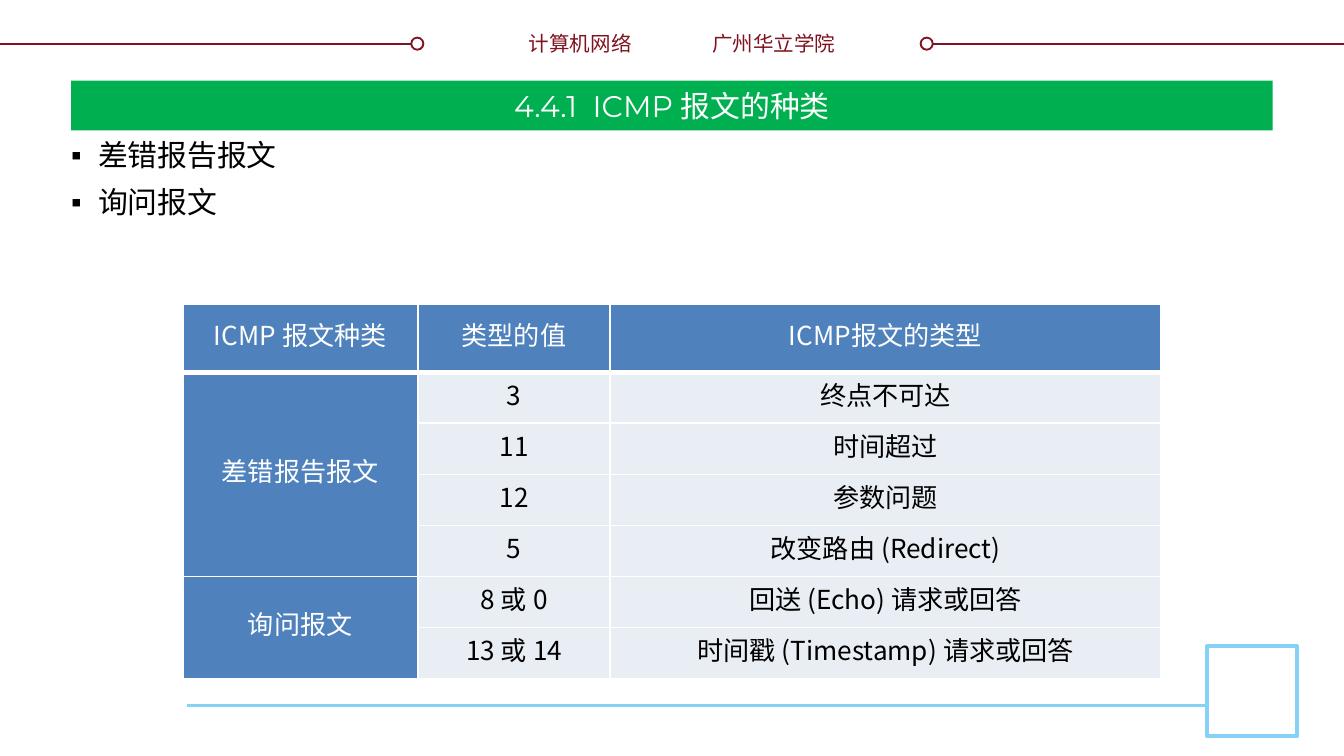
import pptx
import pptx.util
import pptx.dml.color
import pptx.enum.shapes
import pptx.enum.text
import lxml.etree

Inches = pptx.util.Inches
Pt = pptx.util.Pt
RGB = pptx.dml.color.RGBColor.from_string
ALIGN = pptx.enum.text.PP_ALIGN
MIDDLE = pptx.enum.text.MSO_ANCHOR.MIDDLE
SHAPE = pptx.enum.shapes.MSO_SHAPE
A = "{http://schemas.openxmlformats.org/drawingml/2006/main}"

THEME = {
    "maroon": "7F131F", "sky": "85D1F7", "green": "00B050", "blue": "4F81BD",
    "pale": "E9EDF4", "white": "FFFFFF", "black": "000000",
    "latin": "Montserrat", "cjk": "Noto Sans CJK SC",
    "header_size": 11, "table_size": 14, "main_size": 16,
}


def style(p, size, color, font, align):
    p.alignment = align
    p.font.size = Pt(THEME[size])
    p.font.color.rgb = RGB(THEME[color])
    p.font.name = THEME[font]
    ea = lxml.etree.SubElement(p._p.pPr.find(A + "defRPr"), A + "ea")
    ea.set("typeface", THEME["cjk"])


def set_borders(cell, bottom):
    tc_pr = cell._tc.get_or_add_tcPr()
    for side, width in (("L", 1), ("R", 1), ("T", 1), ("B", bottom)):
        ln = lxml.etree.SubElement(tc_pr, A + "ln" + side, w=str(Pt(width)))
        fill = lxml.etree.SubElement(ln, A + "solidFill")
        lxml.etree.SubElement(fill, A + "srgbClr", val=THEME["white"])


# Widescreen slide, 16:9
prs = pptx.Presentation()
prs.slide_width = Inches(10)
prs.slide_height = Inches(10 * 9 / 16)
s = prs.slides.add_slide(prs.slide_layouts[1])

# Rules at top and bottom
for x1, x2, y, color, width in ((0, 3.15, 0.33, "maroon", 1),
                                (6.85, 10, 0.33, "maroon", 1),
                                (1.39, 8.98, 5.25, "sky", 1.5)):
    line = s.shapes.add_connector(pptx.enum.shapes.MSO_CONNECTOR.STRAIGHT,
                                  Inches(x1), Inches(y), Inches(x2), Inches(y))
    line.line.color.rgb = RGB(THEME[color])
    line.line.width = Pt(width)
    lxml.etree.SubElement(line._element.spPr, A + "effectLst")

# Ring at the end of each top rule, and the corner square
for kind, x, y, size, color, width in ((SHAPE.OVAL, 3.06, 0.28, 0.09, "maroon", 1),
                                       (SHAPE.OVAL, 6.85, 0.28, 0.09, "maroon", 1),
                                       (SHAPE.RECTANGLE, 8.98, 4.81, 0.67, "sky", 2)):
    sp = s.shapes.add_shape(kind, Inches(x), Inches(y), Inches(size), Inches(size))
    sp.shadow.inherit = False
    sp.fill.solid()
    sp.fill.fore_color.rgb = RGB(THEME["white"])
    sp.line.color.rgb = RGB(THEME[color])
    sp.line.width = Pt(width)

# Course and school names
for text, x, width, align in (("计算机网络", 3.83, 0.97, ALIGN.RIGHT),
                              ("广州华立学院", 5.2, 1.16, ALIGN.LEFT)):
    sp = s.shapes.add_textbox(Inches(x), Inches(0.18), Inches(width), Inches(0.29))
    tf = sp.text_frame
    tf.word_wrap = True
    tf.text = text
    style(tf.paragraphs[0], "header_size", "maroon", "cjk", align)

# Title bar
title = s.shapes.title
title.left, title.top = Inches(0.53), Inches(0.6)
title.width, title.height = Inches(8.94), Inches(0.37)
title.fill.solid()
title.fill.fore_color.rgb = RGB(THEME["green"])
tf = title.text_frame
tf.text = "4.4.1  ICMP 报文的种类"
tf.vertical_anchor = MIDDLE
tf.auto_size = pptx.enum.text.MSO_AUTO_SIZE.NONE
style(tf.paragraphs[0], "main_size", "white", "latin", ALIGN.CENTER)

# Bulleted list
body = s.placeholders[1]
body.left, body.top = Inches(0.53), Inches(0.98)
body.width, body.height = Inches(8.94), Inches(4.05)
tf = body.text_frame
tf.auto_size = pptx.enum.text.MSO_AUTO_SIZE.NONE
tf.margin_left = tf.margin_right = 0
tf.margin_top = tf.margin_bottom = Inches(0.04)
tf.text = "差错报告报文\n询问报文"
for p in tf.paragraphs:
    p.space_before, p.space_after = Pt(0), Pt(6)
    p_pr = p._p.get_or_add_pPr()
    p_pr.set("marL", str(Inches(0.2)))
    p_pr.set("indent", str(Inches(-0.2)))
    lxml.etree.SubElement(p_pr, A + "buChar", char="▪")
    style(p, "main_size", "black", "latin", ALIGN.JUSTIFY)

# Table of message types
rows = [
    ("ICMP 报文种类", "类型的值", "ICMP报文的类型"),
    ("差错报告报文", "3", "终点不可达"),
    ("", "11", "时间超过"),
    ("", "12", "参数问题"),
    ("", "5", "改变路由 (Redirect)"),
    ("询问报文", "8 或 0", "回送 (Echo) 请求或回答"),
    ("", "13 或 14", "时间戳 (Timestamp) 请求或回答"),
]
table = s.shapes.add_table(len(rows), 3, Inches(1.36), Inches(2.26),
                           Inches(7.28), Inches(2.79)).table
for column, width in zip(table.columns, (1.75, 1.43, 4.1)):
    column.width = Inches(width)
for i, row in enumerate(rows):
    table.rows[i].height = Inches(0.38 if i else 0.51)
    for j, text in enumerate(row):
        cell = table.cell(i, j)
        heading = i == 0 or j == 0
        set_borders(cell, 1 if i else 3)
        cell.fill.solid()
        cell.fill.fore_color.rgb = RGB(THEME["blue" if heading else "pale"])
        cell.vertical_anchor = MIDDLE
        cell.margin_left = cell.margin_right = Inches(0.07)
        cell.margin_top = cell.margin_bottom = 0
        cell.text = text
        p = cell.text_frame.paragraphs[0]
        p.line_spacing = Pt(16)
        style(p, "table_size", "white" if heading else "black", "cjk", ALIGN.CENTER)
        p.font.bold = False
for first, last in ((1, 4), (5, 6)):
    table.cell(first, 0).merge(table.cell(last, 0))

prs.save("out.pptx")
